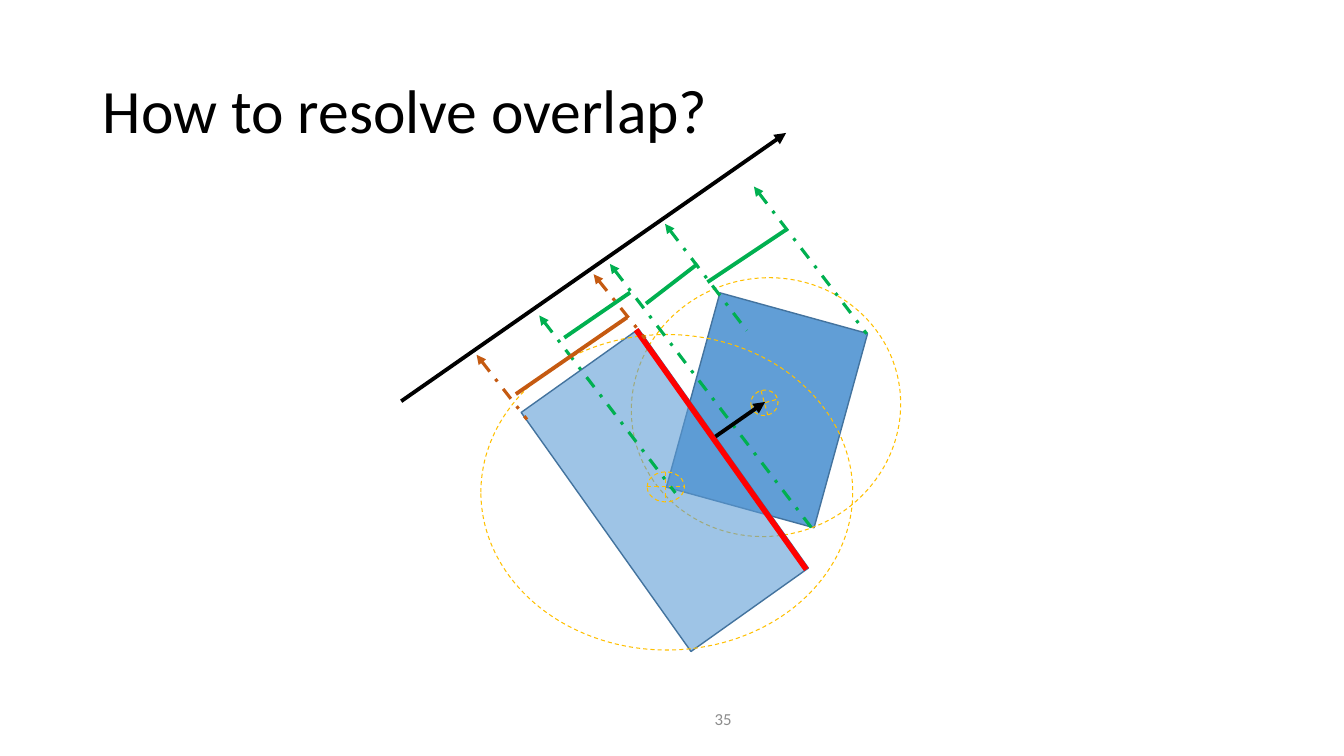
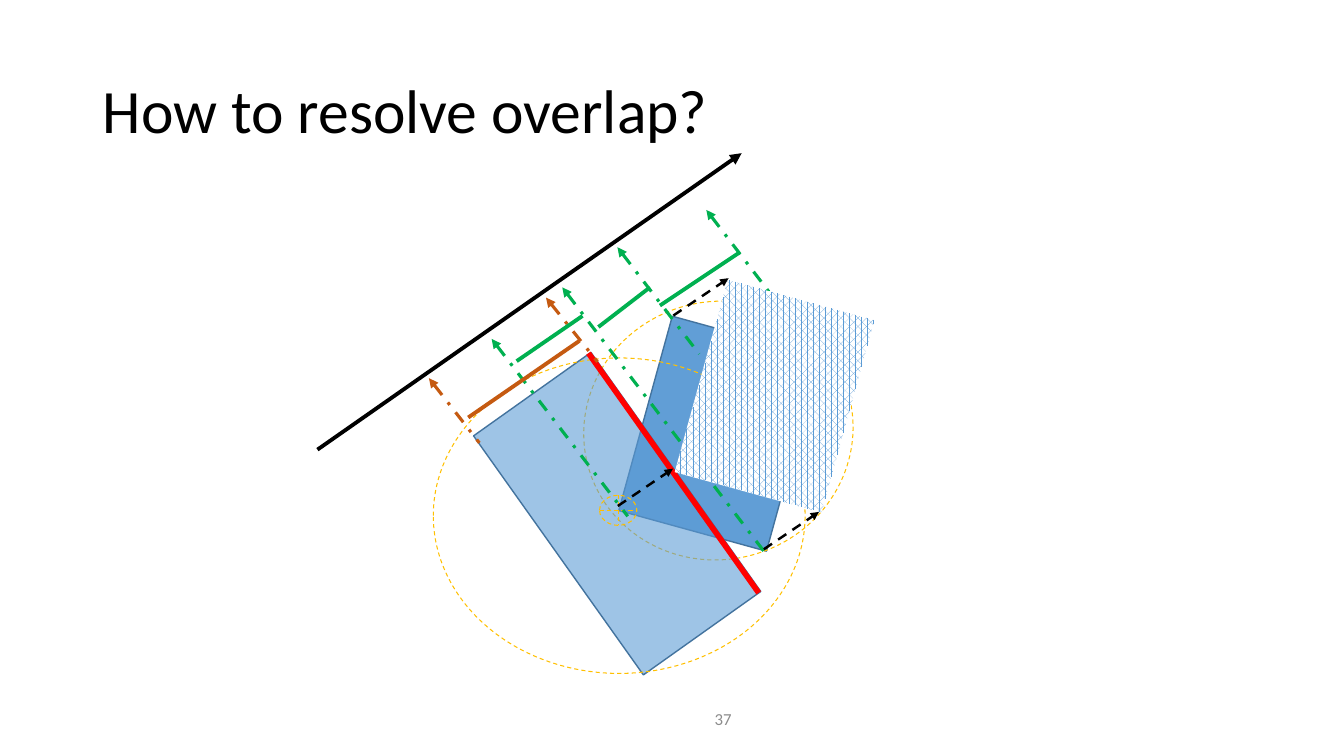
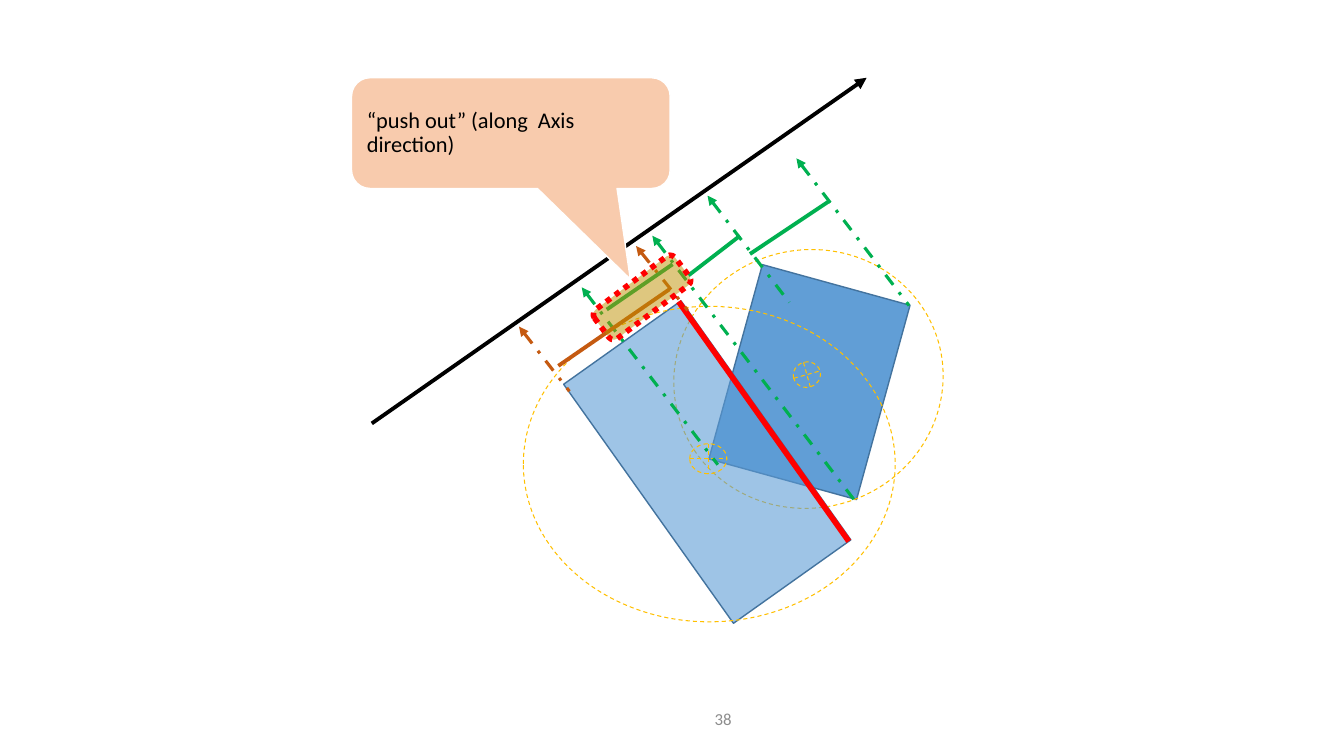
from dataclasses import dataclass

from pptx import Presentation
from pptx.dml.color import RGBColor
from pptx.enum.dml import MSO_LINE, MSO_PATTERN
from pptx.enum.shapes import MSO_CONNECTOR, MSO_SHAPE
from pptx.enum.text import MSO_ANCHOR, PP_ALIGN
from pptx.oxml.ns import qn
from pptx.util import Cm, Pt
from lxml.etree import SubElement


@dataclass(frozen=True)
class Theme:
    font: str = "Calibri"
    ink: str = "000000"
    gray: str = "8C8C8C"
    white: str = "FFFFFF"
    blue: str = "5B9BD5"
    edge: str = "43739E"
    gold: str = "FFC000"
    red: str = "FF0000"
    rust: str = "C55A11"
    green: str = "00B050"
    ochre: str = "BF9000"
    peach: str = "F8CBAD"
    title: int = 44
    note: int = 16
    small: int = 12


T = Theme()

# Content: all places in cm, figure places before its shift
TITLE = "How to resolve overlap?"
NOTE = "“push out” (along  Axis direction)"
SLIDES = [
    dict(num="35", title=TITLE, shift=(0, 0), axis=(10.11, 10.11, 19.81, 3.35), extra="push"),
    dict(num="37", title=TITLE, shift=(-1.2, 0.59), axis=(8, 11.33, 18.69, 3.86), extra="move"),
    dict(num="38", title=None, shift=(1.07, -0.71), axis=(9.37, 10.67, 21.84, 1.96), extra="note"),
]

# Each body: box, ring and hub, as (left, top, width, height), then turns and opacity
BODIES = [
    dict(box=(17.4, 7.8, 3.86, 5.08), ring=(15.9, 7.01, 6.81, 6.5),
         hub=(18.92, 9.83, 0.69, 0.64), turn=15.4, tilt=-15.6, alpha=96),
    dict(box=(14.94, 8.66, 3.63, 7.39), ring=(12.12, 8.43, 9.37, 7.95),
         hub=(16.31, 11.89, 0.94, 0.76), turn=-35.4, tilt=0, alpha=59),
]

SIDE = (16.03, 8.31, 20.32, 14.35)
# Rays run from their tip on the axis side to a corner; bars are the spans between
RAYS = [
    (T.rust, [(12.01, 8.94, 13.28, 10.57), (14.96, 6.91, 16.26, 8.53)]),
    (T.green, [(16.76, 5.64, 18.82, 8.33), (19, 4.7, 21.84, 8.41),
               (13.59, 7.95, 17.02, 12.42), (15.37, 6.65, 20.52, 13.39)]),
]
BARS = [
    (T.rust, [(15.8, 8, 13, 9.93)]),
    (T.green, [(17.83, 7.11, 19.84, 5.77), (16.28, 7.65, 17.58, 6.65),
               (14.22, 8.51, 15.88, 7.37)]),
]

PUSH = (18.03, 11, 19.28, 10.13)
GHOST = (17.6, 7.47, 3.84, 5.03)
STEP = (1.39, -0.94)
STARTS = [(19.25, 13.84), (16.97, 7.95), (15.57, 12.75)]
MARK = (14.91, 7.04, 2.54, 0.91)
CALL = (8.86, 1.96, 8.03, 2.79)
TITLE_AT = (2.34, 1.02, 29.21, 3.68)
NUM_AT = (15.67, 17.6, 3.02, 1.02)


# Drawing helpers
def rgb(code):
    return RGBColor.from_string(code)


def stroke(line, color, width, dash=None):
    line.color.rgb = rgb(color)
    line.width = Pt(width)
    if dash is not None:
        line.dash_style = dash


def paint(shape, color, alpha=100):
    shape.fill.solid()
    shape.fill.fore_color.rgb = rgb(color)
    if alpha < 100:
        tone = shape.element.spPr.find(qn("a:solidFill"))[0]
        SubElement(tone, qn("a:alpha")).set("val", str(alpha * 1000))


def form(slide, kind, at, turn=0):
    shape = slide.shapes.add_shape(kind, *map(Cm, at))
    shape.shadow.inherit = False
    shape.rotation = turn
    return shape


def link(slide, ends, color, width, dash=None, arrow=None):
    """Draw a line; arrow is "head" for its start or "tail" for its end."""
    line = slide.shapes.add_connector(MSO_CONNECTOR.STRAIGHT, *map(Cm, ends))
    stroke(line.line, color, width, dash)
    props = line.element.spPr
    if arrow:
        SubElement(props.find(qn("a:ln")), qn(f"a:{arrow}End")).set("type", "triangle")
    SubElement(props, qn("a:effectLst"))


def write(shape, text, size, color, align=PP_ALIGN.LEFT, gap=1.0):
    frame = shape.text_frame
    frame.word_wrap = True
    frame.vertical_anchor = MSO_ANCHOR.MIDDLE
    para = frame.paragraphs[0]
    para.text = text
    para.alignment = align
    para.line_spacing = gap
    font = para.font
    font.name, font.size, font.color.rgb = T.font, Pt(size), rgb(color)


def label(slide, at, *args, **opts):
    write(slide.shapes.add_textbox(*map(Cm, at)), *args, **opts)


# Shared figure
def body(slide, move, part):
    box = form(slide, MSO_SHAPE.RECTANGLE, move(part["box"]), part["turn"])
    paint(box, T.blue, part["alpha"])
    stroke(box.line, T.edge, 1)
    for name, kind in (("ring", MSO_SHAPE.OVAL), ("hub", MSO_SHAPE.FLOWCHART_OR)):
        oval = form(slide, kind, move(part[name]), part["tilt"])
        oval.fill.background()
        stroke(oval.line, T.gold, 0.75, MSO_LINE.DASH)


def figure(slide, move, axis):
    for part in BODIES:
        body(slide, move, part)
    link(slide, move(SIDE, True), T.red, 4)
    for color, rays in RAYS:
        for ends in rays:
            link(slide, move(ends, True), color, 2.25, MSO_LINE.DASH_DOT, "head")
    for color, bars in BARS:
        for ends in bars:
            link(slide, move(ends, True), color, 2.75)
    link(slide, axis, T.ink, 2.75, arrow="tail")


# What each slide adds
def push(slide):
    link(slide, PUSH, T.ink, 2.75, arrow="tail")


def shove(slide):
    ghost = form(slide, MSO_SHAPE.RECTANGLE, GHOST, 15.4)
    ghost.fill.patterned()
    ghost.fill.pattern = MSO_PATTERN.PERCENT_60
    ghost.fill.fore_color.rgb = rgb(T.blue)
    ghost.fill.back_color.rgb = rgb(T.white)
    ghost.line.fill.background()
    for x, y in STARTS:
        ends = (x, y, x + STEP[0], y + STEP[1])
        link(slide, ends, T.ink, 1.75, MSO_LINE.DASH, "tail")


def note(slide):
    mark = form(slide, MSO_SHAPE.ROUNDED_RECTANGLE, MARK, -36.9)
    paint(mark, T.ochre, 50)
    stroke(mark.line, T.red, 4, MSO_LINE.ROUND_DOT)
    call = form(slide, MSO_SHAPE.ROUNDED_RECTANGULAR_CALLOUT, CALL)
    for i, value in enumerate((0.375, 1.32, 0.167)):
        call.adjustments[i] = value
    paint(call, T.peach)
    stroke(call.line, T.white, 1)
    write(call, NOTE, T.note, T.ink, gap=0.9)


EXTRAS = dict(push=push, move=shove, note=note)


def build(deck, data):
    slide = deck.slides.add_slide(deck.slide_layouts[6])
    dx, dy = data["shift"]

    def move(at, ends=False):
        x, y, a, b = at
        return (x + dx, y + dy, a + dx, b + dy) if ends else (x + dx, y + dy, a, b)

    label(slide, NUM_AT, data["num"], T.small, T.gray, align=PP_ALIGN.RIGHT)
    if data["title"]:
        label(slide, TITLE_AT, data["title"], T.title, T.ink, gap=0.9)
    figure(slide, move, data["axis"])
    EXTRAS[data["extra"]](slide)


def main():
    deck = Presentation()
    deck.slide_width, deck.slide_height = Cm(33.87), Cm(19.05)
    for data in SLIDES:
        build(deck, data)
    deck.save("out.pptx")


if __name__ == "__main__":
    main()
